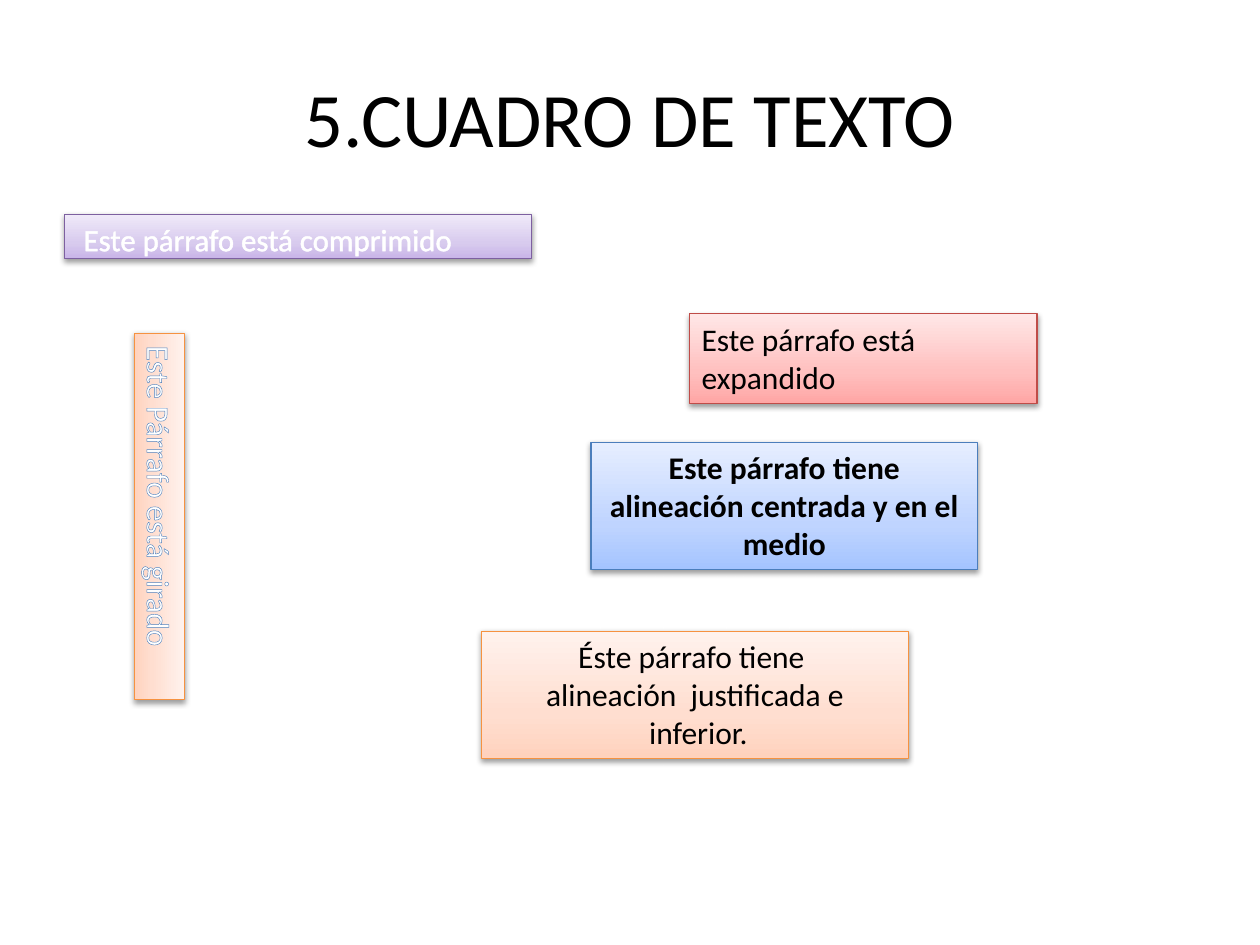
from pptx import Presentation
from pptx.dml.color import RGBColor
from pptx.enum.shapes import MSO_SHAPE
from pptx.enum.text import MSO_ANCHOR, PP_ALIGN
from pptx.oxml import parse_xml
from pptx.oxml.ns import nsdecls
from pptx.util import Inches, Pt

PURPLE = ("7D60A0", ("C9B5E8", "D8CBEE", "F0EAF9"))
ORANGE = ("F69240", ("FFD2BD", "FFDED0", "FFF2ED"))
RED = ("BF4C48", ("FFA6A5", "FFC0BF", "FFE7E7"))
BLUE = ("4B7EBC", ("A4C4FF", "BFD4FF", "E6EEFF"))
STOPS = (0, 35, 100)


def color(hex_value):
    return RGBColor.from_string(hex_value)


def gradient(shades):
    """Gradient running from the bottom edge to the top edge."""
    stops = "".join(
        f'<a:gs pos="{stop * 1000}"><a:srgbClr val="{shade}"/></a:gs>'
        for stop, shade in zip(STOPS, shades))
    return parse_xml(
        f'<a:gradFill {nsdecls("a")} rotWithShape="1"><a:gsLst>{stops}</a:gsLst>'
        '<a:lin ang="16200000" scaled="0"/></a:gradFill>')


def soft_shadow():
    return parse_xml(
        f'<a:effectLst {nsdecls("a")}>'
        '<a:outerShdw blurRad="40000" dist="20000" dir="5400000" rotWithShape="0">'
        '<a:srgbClr val="000000"><a:alpha val="38000"/></a:srgbClr>'
        '</a:outerShdw></a:effectLst>')


def text_outline(hex_value, width):
    return parse_xml(
        f'<a:ln {nsdecls("a")} w="{Pt(width)}"><a:solidFill>'
        f'<a:srgbClr val="{hex_value}"/></a:solidFill></a:ln>')


def write(shape, text, size=18, fill="000000", bold=False, align=PP_ALIGN.LEFT,
          anchor=MSO_ANCHOR.TOP, before=0, outline=None):
    """Fill a shape with text, one paragraph per line."""
    frame = shape.text_frame
    frame.word_wrap = True
    frame.vertical_anchor = anchor
    for index, line in enumerate(text.split("\n")):
        paragraph = frame.add_paragraph() if index else frame.paragraphs[0]
        paragraph.alignment = align
        paragraph.space_before = Pt(before)
        run = paragraph.add_run()
        run.text = line
        run.font.name = "Calibri"
        run.font.size = Pt(size)
        run.font.bold = bold
        run.font.color.rgb = color(fill)
        if outline:
            run.font._element.insert(0, text_outline(*outline))


def add_title(slide, text):
    title = slide.shapes.add_textbox(Inches(0.5), Inches(0.3), Inches(9), Inches(1.25))
    write(title, text, size=44, align=PP_ALIGN.CENTER, anchor=MSO_ANCHOR.MIDDLE)


def add_box(slide, place, theme, text, rotation=0, **text_format):
    border, shades = theme
    box = slide.shapes.add_shape(MSO_SHAPE.RECTANGLE, *map(Inches, place))
    box.rotation = rotation
    box.line.color.rgb = color(border)
    box.line.width = Pt(0.75)
    properties = box._element.spPr
    properties.find("{*}prstGeom").addnext(gradient(shades))
    properties.append(soft_shadow())
    write(box, text, **text_format)


def main():
    presentation = Presentation()
    presentation.slide_width = Inches(10)
    presentation.slide_height = Inches(7.5)
    slide = presentation.slides.add_slide(presentation.slide_layouts[6])

    add_title(slide, "5.CUADRO DE TEXTO")
    add_box(slide, (0.51, 1.7, 3.71, 0.35), PURPLE, " Este párrafo está comprimido",
            size=17.6, fill="FFFFFF", before=3.5, outline=("FFFFFF", 1.45))
    add_box(slide, (-0.19, 3.9, 2.91, 0.4), ORANGE, "Este Párrafo está girado",
            rotation=90, fill="FFFFFF", outline=("4F81BD", 0.8))
    add_box(slide, (5.47, 2.49, 2.76, 0.71), RED, "Este párrafo está\nexpandido")
    add_box(slide, (4.69, 3.51, 3.07, 1.01), BLUE,
            "Este párrafo tiene alineación centrada y en el medio",
            bold=True, align=PP_ALIGN.CENTER, outline=("D73A36", 1.42))
    add_box(slide, (3.82, 5.01, 3.39, 1.01), ORANGE,
            "Éste párrafo tiene \nalineación  justificada e\n inferior.",
            align=PP_ALIGN.CENTER)

    presentation.save("out.pptx")


if __name__ == "__main__":
    main()
